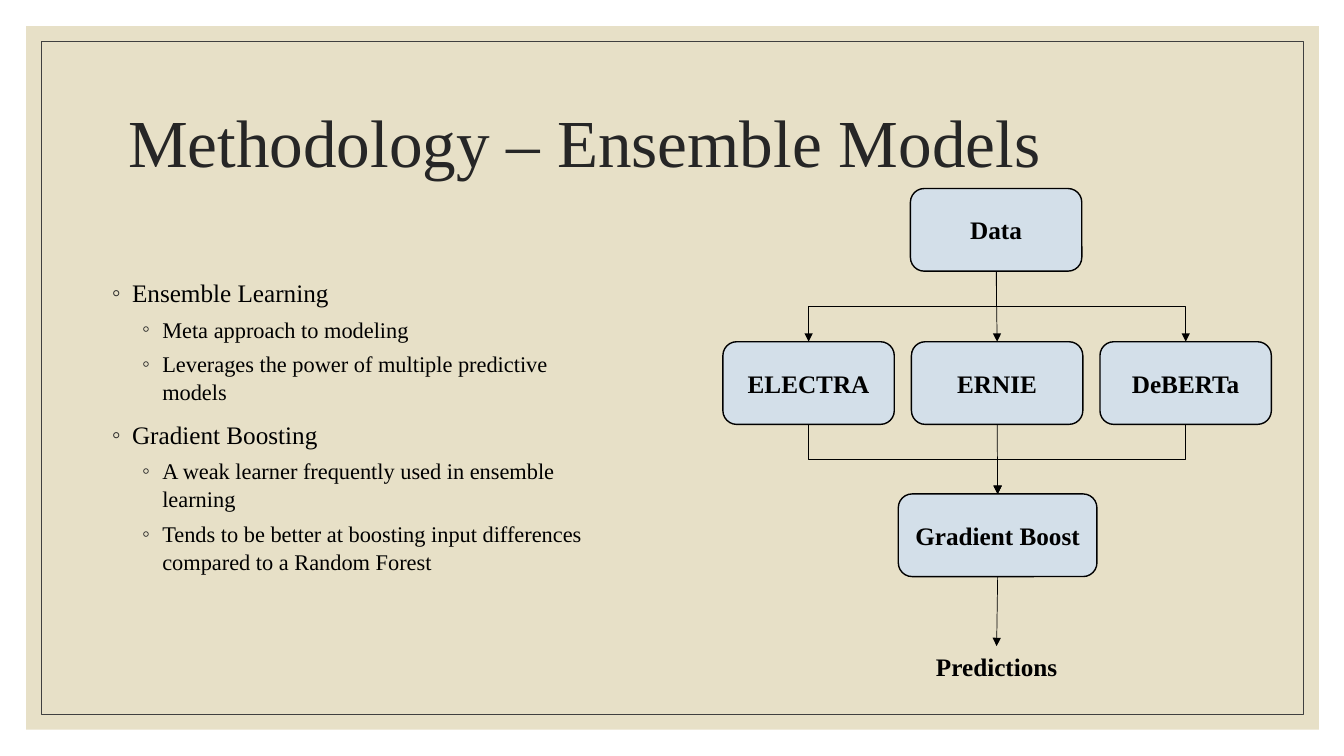
from pptx import Presentation
from pptx import util as u
from pptx.dml.color import RGBColor
from pptx.enum import shapes, text
from pptx.oxml import ns, xmlchemy

PX = 9144
KIND = shapes.MSO_SHAPE
LINK = shapes.MSO_CONNECTOR


def tint(code):
    """Turn a hex string into a colour."""
    return RGBColor.from_string(code)


def node(home, tag, **atts):
    """Append a child element with the given attributes."""
    kid = xmlchemy.OxmlElement(tag)
    for key, val in atts.items():
        kid.set(key, val)
    home.append(kid)
    return kid


class Deck:
    """Hold the style and the current slide, with lengths in px."""

    font, ink, dark = "Times New Roman", "000000", "262626"
    sand, pale, rim = "E7E0C7", "D3DFE9", "404040"

    def __init__(self, wide, high):
        """Open a deck with one title and content slide."""
        self.prs = Presentation()
        self.prs.slide_width = wide * PX
        self.prs.slide_height = high * PX
        self.slide = self.prs.slides.add_slide(self.prs.slide_layouts[1])
        self.tree = self.slide.shapes

    def place(self, item, left, top, wide, high):
        """Move and size an item."""
        item.left, item.top = int(left * PX), int(top * PX)
        item.width, item.height = int(wide * PX), int(high * PX)

    def style(self, para, size, color, bold=False):
        """Format the runs of a paragraph."""
        for run in para.runs:
            run.font.name, run.font.size = self.font, u.Pt(size)
            run.font.bold = bold
            run.font.color.rgb = tint(color)

    def shape(self, kind, spot, fill=None, line=None, width=1):
        """Draw a preset shape."""
        item = self.tree.add_shape(kind, *(n * PX for n in spot))
        item.shadow.inherit = False
        if fill:
            item.fill.solid()
            item.fill.fore_color.rgb = tint(fill)
        else:
            item.fill.background()
        if line:
            item.line.color.rgb = tint(line)
            item.line.width = u.Pt(width)
        else:
            item.line.fill.background()
        return item

    def panel(self, spot, **look):
        """Draw a plain rectangle behind everything."""
        item = self.shape(KIND.RECTANGLE, spot, **look)
        item.element.getparent().insert(2, item.element)

    def label(self, item, words):
        """Write a centred bold label in an item."""
        frame = item.text_frame
        frame.text = words
        para = frame.paragraphs[0]
        para.alignment = text.PP_ALIGN.CENTER
        self.style(para, 18, self.ink, True)

    def box(self, words, left, top, wide=170, high=82):
        """Draw a labelled rounded box."""
        spot = left, top, wide, high
        item = self.shape(KIND.ROUNDED_RECTANGLE, spot, self.pale, self.ink)
        item.text_frame.vertical_anchor = text.MSO_ANCHOR.MIDDLE
        self.label(item, words)
        return item

    def note(self, words, *spot):
        """Add a free label."""
        item = self.tree.add_textbox(*(n * PX for n in spot))
        item.text_frame.word_wrap = False
        self.label(item, words)
        return item

    def title(self, words, *spot):
        """Fill the title placeholder."""
        item = self.tree.title
        self.place(item, *spot)
        frame = item.text_frame
        frame.text = words
        frame.vertical_anchor = text.MSO_ANCHOR.MIDDLE
        para = frame.paragraphs[0]
        para.alignment, para.line_spacing = text.PP_ALIGN.LEFT, 0.9
        self.style(para, 48, self.dark)

    def list(self, rows, *spot):
        """Fill the body placeholder with two bullet levels."""
        item = self.slide.placeholders[1]
        self.place(item, *spot)
        frame = item.text_frame
        frame.text = "\n".join(words for _, words in rows)
        frame.auto_size = text.MSO_AUTO_SIZE.NONE
        for para, (level, _) in zip(frame.paragraphs, rows):
            para.level, para.line_spacing = level, 1.04
            para.space_before = u.Pt((9, 5)[level])
            self.style(para, (18, 16)[level], self.ink)
            prop = para._p.get_or_add_pPr()
            prop.set("marL", str((20, 50)[level] * PX))
            prop.set("indent", str(-20 * PX))
            node(node(prop, "a:buClr"), "a:srgbClr", val=self.dark)
            node(prop, "a:buChar", char="◦")

    def arrow(self, start, end, bent=False):
        """Join the bottom of one item to the top of another."""
        kind = LINK.ELBOW if bent else LINK.STRAIGHT
        item = self.tree.add_connector(kind, 0, 0, PX, PX)
        item.begin_connect(start, 2)
        item.end_connect(end, 0)
        item.line.color.rgb = tint(self.ink)
        item.line.width = u.Pt(0.5)
        prop = item.element.spPr
        node(prop.find(ns.qn("a:ln")), "a:tailEnd", type="triangle")
        node(prop, "a:effectLst")
        if bent:
            self.turn(item)

    def turn(self, item):
        """Rotate an elbow so that it leaves and arrives vertically."""
        right = item.end_x > item.begin_x
        wide, high = item.width / PX, item.height / PX
        left = item.left / PX + (wide - high) / 2
        top = item.top / PX + (high - wide) / 2
        self.place(item, left, top, high, wide)
        form = item.element.spPr.find(ns.qn("a:xfrm"))
        form.set("rot", "16200000" if right else "5400000")
        form.set("flipH", "1" if right else "0")


def main():
    """Build the slide and save it."""
    deck = Deck(1333, 750)
    deck.panel((41, 41, 1252, 668), line=deck.rim, width=0.5)
    deck.panel((26, 26, 1282, 698), fill=deck.sand)
    deck.title("Methodology – Ensemble Models", 117, 70, 1100, 150)
    deck.list([
        (0, "Ensemble Learning"),
        (1, "Meta approach to modeling"),
        (1, "Leverages the power of multiple predictive models"),
        (0, "Gradient Boosting"),
        (1, "A weak learner frequently used in ensemble learning"),
        (1, "Tends to be better at boosting input differences compared to a Random Forest"),
    ], 101, 269, 520, 357)

    data = deck.box("Data", 903, 187)
    names = "ELECTRA", "ERNIE", "DeBERTa"
    models = [deck.box(name, 717 + 187 * i, 339) for i, name in enumerate(names)]
    boost = deck.box("Gradient Boost", 891, 490, 197)
    goal = deck.note("Predictions", 917, 641, 143, 40)

    for i, model in enumerate(models):
        deck.arrow(data, model, i != 1)
        deck.arrow(model, boost, i != 1)
    deck.arrow(boost, goal)
    deck.prs.save("out.pptx")


if __name__ == "__main__":
    main()
